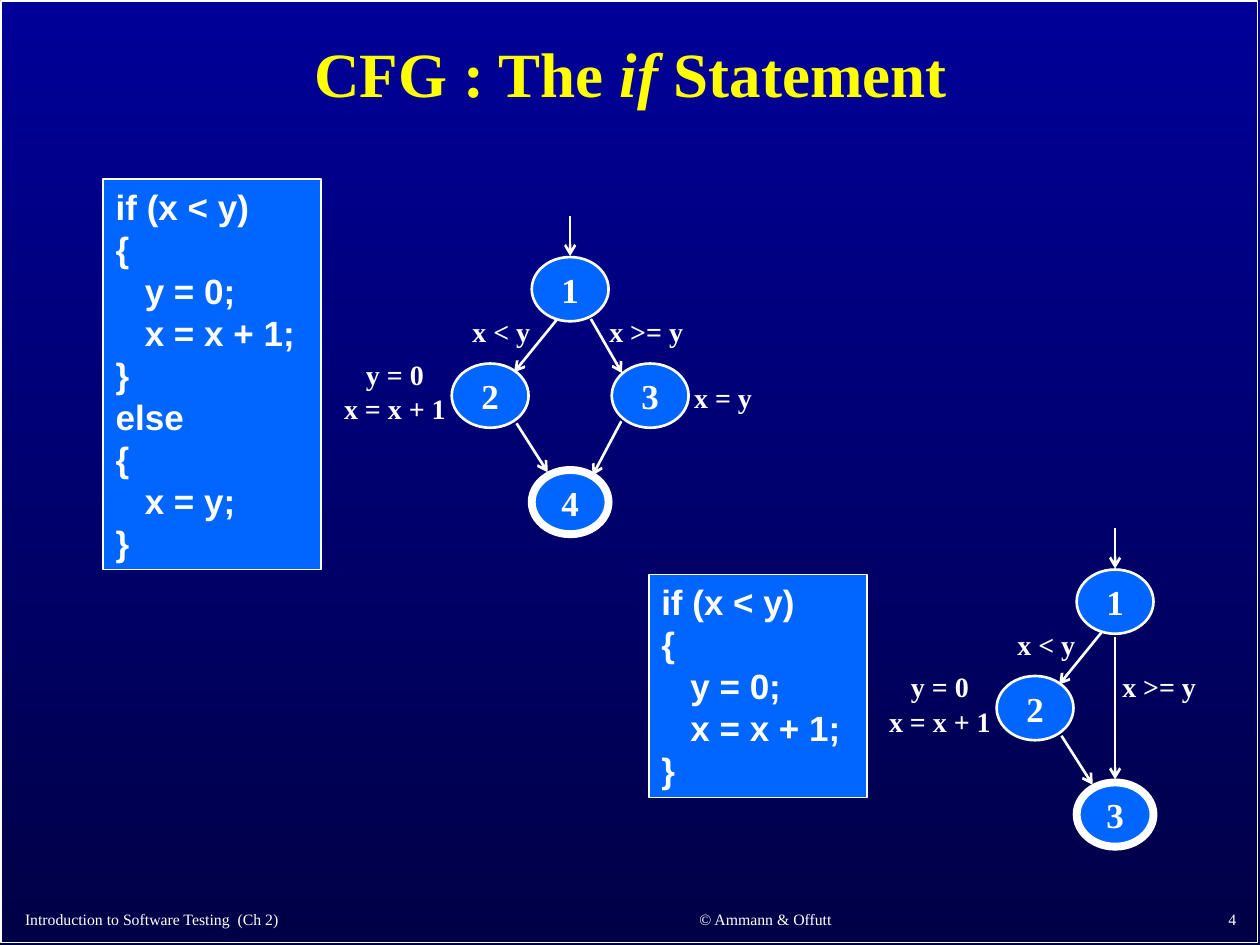
from lxml.etree import SubElement
from pptx import Presentation
from pptx.dml.color import RGBColor
from pptx.enum.shapes import MSO_CONNECTOR, MSO_SHAPE
from pptx.enum.text import MSO_ANCHOR, PP_ALIGN
from pptx.oxml.ns import qn
from pptx.util import Inches, Pt

WHITE = RGBColor(0xFF, 0xFF, 0xFF)
YELLOW = RGBColor(0xFF, 0xFF, 0x00)
BLUE = RGBColor(0x00, 0x66, 0xFF)
NAVY_TOP = RGBColor(0x00, 0x00, 0x99)
NAVY_BOTTOM = RGBColor(0x00, 0x00, 0x47)
LEFT, CENTER, RIGHT = PP_ALIGN.LEFT, PP_ALIGN.CENTER, PP_ALIGN.RIGHT
TOP, MIDDLE, BOTTOM = MSO_ANCHOR.TOP, MSO_ANCHOR.MIDDLE, MSO_ANCHOR.BOTTOM
RECTANGLE, OVAL = MSO_SHAPE.RECTANGLE, MSO_SHAPE.OVAL
STRAIGHT = MSO_CONNECTOR.STRAIGHT
SERIF, SANS = "Times New Roman", "Arial"

# Grid of the flow graphs, in inches
COLUMN, ROW = 0.635, 0.845
NODE_WIDTH, NODE_HEIGHT = 0.61, 0.51


def write(box, lines, font, align=LEFT, anchor=TOP, spacing=None, gap=0, wrap=True):
    """Fill a box with one paragraph per line; each line is a list of (text, italic)."""
    frame = box.text_frame
    frame.word_wrap = wrap
    frame.vertical_anchor = anchor
    for index, line in enumerate(lines):
        para = frame.paragraphs[0] if index == 0 else frame.add_paragraph()
        para.alignment = align
        para.line_spacing = spacing
        para.space_before = Pt(gap if index else 0)
        for text, italic in line:
            span = para.add_run()
            span.text = text
            span.font.italic = italic
            for name, value in font.items():
                setattr(span.font, name, value)
            span.font.color.rgb = YELLOW if font is TITLE_FONT else WHITE


def add_outlined(kind, left, top, width, height, weight, fill=BLUE):
    """Add a white-outlined shape, filled unless fill is None."""
    shape = page.shapes.add_shape(
        kind, Inches(left), Inches(top), Inches(width), Inches(height))
    shape.shadow.inherit = False
    if fill is None:
        shape.fill.background()
    else:
        shape.fill.solid()
        shape.fill.fore_color.rgb = fill
    shape.line.color.rgb = WHITE
    shape.line.width = Pt(weight)
    return shape


TITLE_FONT = {"name": SERIF, "size": Pt(36), "bold": True}
CODE_FONT = {"name": SANS, "size": Pt(20), "bold": True}
NODE_FONT = {"name": SERIF, "size": Pt(20), "bold": True}
LABEL_FONT = {"name": SERIF, "size": Pt(16), "bold": True}
FOOTER_FONT = {"name": SERIF, "size": Pt(9), "bold": False}

deck = Presentation()
deck.slide_width, deck.slide_height = Inches(10), Inches(7.5)
page = deck.slides.add_slide(deck.slide_layouts[5])

# Background and frame
backdrop = page.background.fill
backdrop.gradient()
backdrop.gradient_angle = 270
for stop, color in zip(backdrop.gradient_stops, (NAVY_TOP, NAVY_BOTTOM)):
    stop.color.rgb = color
add_outlined(RECTANGLE, 0.01, 0.01, 9.97, 7.47, 1, fill=None)

# Title
title = page.shapes.title
title.left, title.top = Inches(0.08), Inches(0.11)
title.width, title.height = Inches(9.85), Inches(1)
write(title, [[("CFG : The ", False), ("if", True), (" Statement", False)]],
      TITLE_FONT, CENTER, MIDDLE, spacing=0.9)

# Footer
for text, left, width, align in [
    ("Introduction to Software Testing  (Ch 2)", 0.1, 4.11, LEFT),
    ("© Ammann & Offutt", 4.49, 3.17, CENTER),
    ("4", 7.83, 2.08, RIGHT),
]:
    box = page.shapes.add_textbox(Inches(left), Inches(7.12), Inches(width), Inches(0.3))
    write(box, [[(text, False)]], FOOTER_FONT, align, BOTTOM)

# Code listings
IF_CODE = ["if (x < y)", "{", "   y = 0;", "   x = x + 1;", "}"]
ELSE_CODE = ["else", "{", "   x = y;", "}"]
for code, left, top, height in [
    (IF_CODE + ELSE_CODE, 0.82, 1.42, 3.1),
    (IF_CODE, 5.15, 4.56, 1.77),
]:
    box = add_outlined(RECTANGLE, left, top, 1.73, height, 1)
    write(box, [[(line, False)] for line in code], CODE_FONT, spacing=Pt(24))

# Flow graphs: everything is placed in columns and rows from the centre of node 1
SHARED_NODES = [("1", 0, 0, 1.5), ("2", -1, 1, 1.5)]
SHARED_EDGES = [
    (0, -0.69, 0, -0.31),
    (-0.17, 0.29, -0.7, 0.78),
    (-0.67, 1.26, -0.28, 1.72),
]
SHARED_LABELS = [
    (["x < y"], -0.86, 0.4, 0.82, 0.37),
    (["y = 0", "x = x + 1"], -2.19, 1.02, 1.03, 0.51),
]
GRAPHS = [
    {
        "origin": (4.525, 2.295),
        "nodes": [("3", 1, 1, 1.5), ("4", 0, 2, 4.5)],
        "edges": [(0.26, 0.28, 0.65, 0.79), (0.64, 1.24, 0.28, 1.75)],
        "labels": [(["x >= y"], 0.95, 0.4, 0.82, 0.37),
                   (["x = y"], 1.91, 1.02, 0.82, 0.37)],
    },
    {
        "origin": (8.85, 4.775),
        "nodes": [("3", 0, 2, 4.5)],
        "edges": [(0, 0.33, 0, 1.67)],
        "labels": [(["x >= y"], 0.55, 0.8, 0.82, 0.37)],
    },
]
for graph in GRAPHS:
    x, y = graph["origin"]

    for number, column, row, weight in SHARED_NODES + graph["nodes"]:
        node = add_outlined(OVAL, x + column * COLUMN - NODE_WIDTH / 2,
                            y + row * ROW - NODE_HEIGHT / 2,
                            NODE_WIDTH, NODE_HEIGHT, weight)
        write(node, [[(number, False)]], NODE_FONT, CENTER, MIDDLE, wrap=False)

    for start_column, start_row, end_column, end_row in SHARED_EDGES + graph["edges"]:
        edge = page.shapes.add_connector(
            STRAIGHT,
            Inches(x + start_column * COLUMN), Inches(y + start_row * ROW),
            Inches(x + end_column * COLUMN), Inches(y + end_row * ROW))
        edge.line.color.rgb = WHITE
        edge.line.width = Pt(1.5)
        properties = edge._element.spPr
        SubElement(properties.find(qn("a:ln")), qn("a:tailEnd"), type="arrow")
        SubElement(properties, qn("a:effectLst"))

    for lines, column, row, width, height in SHARED_LABELS + graph["labels"]:
        box = page.shapes.add_textbox(
            Inches(x + column * COLUMN - width / 2), Inches(y + row * ROW - height / 2),
            Inches(width), Inches(height))
        stacked = len(lines) > 1
        write(box, [[(line, False)] for line in lines], LABEL_FONT, CENTER,
              spacing=0.5 if stacked else None, gap=10)

deck.save("out.pptx")
